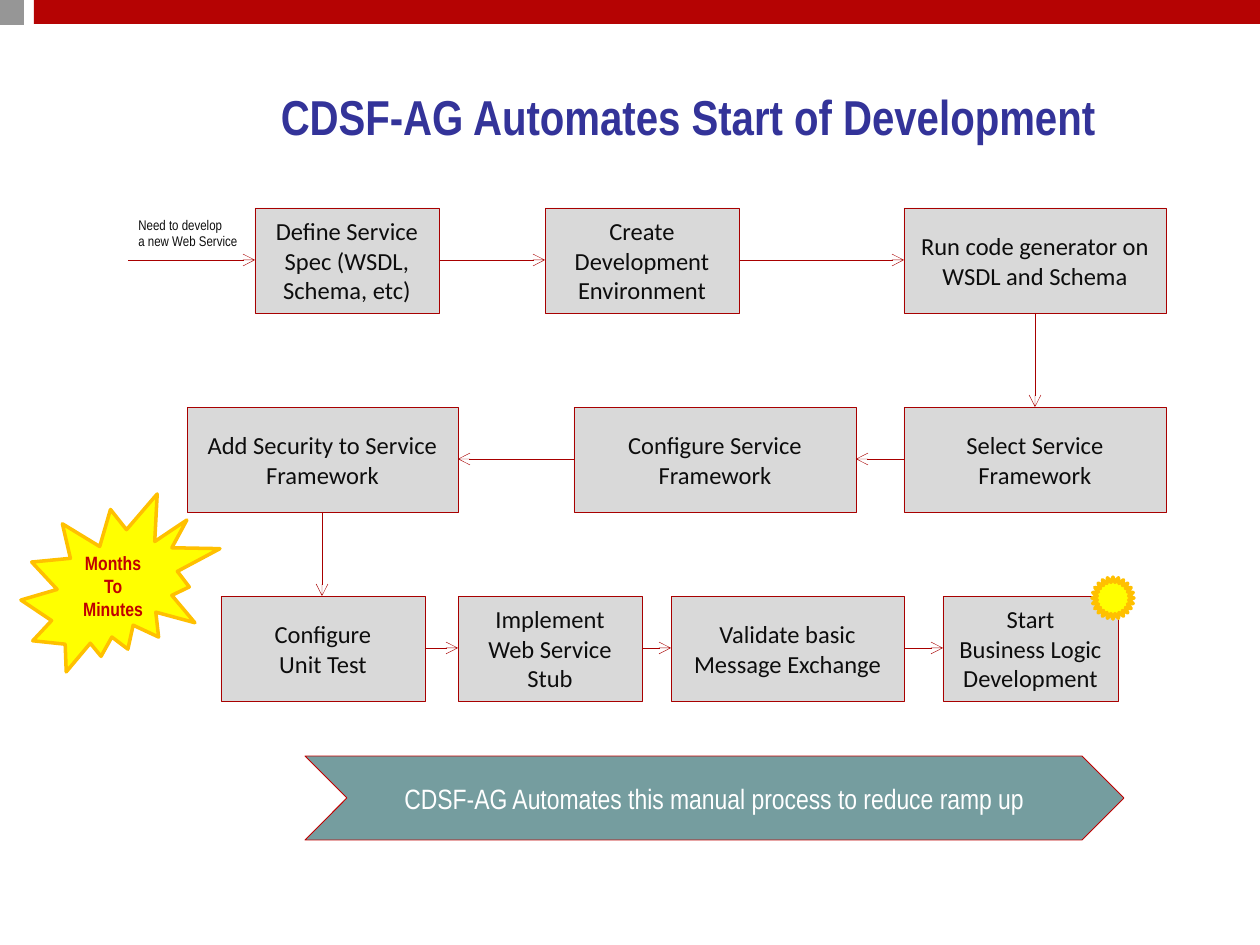
from pptx import Presentation
from pptx.dml.color import RGBColor
from pptx.enum.shapes import MSO_CONNECTOR, MSO_SHAPE
from pptx.enum.text import MSO_ANCHOR, PP_ALIGN
from pptx.oxml.ns import qn
from pptx.util import Emu, Pt
from lxml import etree

RECT, CHEVRON = MSO_SHAPE.RECTANGLE, MSO_SHAPE.CHEVRON
SEAL, BURST = MSO_SHAPE.STAR_24_POINT, MSO_SHAPE.EXPLOSION2
STRAIGHT = MSO_CONNECTOR.STRAIGHT
MIDDLE, TOP = MSO_ANCHOR.MIDDLE, MSO_ANCHOR.TOP
CENTER, LEFT = PP_ALIGN.CENTER, PP_ALIGN.LEFT
SCALE = 914400 / 126

THEME = {
    "bar": {"fill": "B50303"},
    "tab": {"fill": "969696"},
    "step": {"fill": "D9D9D9", "line": "A80000", "width": 0.25, "color": "0D0D0D",
             "font": {"name": "Calibri", "size": Pt(14)}},
    "banner": {"fill": "759D9F", "line": "C00000", "width": 0.5, "color": "FFFFFF",
               "font": {"name": "Arial Narrow", "size": Pt(16)}},
    "burst": {"fill": "FFFF00", "line": "FFC000", "width": 2, "color": "C00000",
              "font": {"name": "Arial Narrow", "size": Pt(11), "bold": True}},
    "title": {"color": "333399",
              "font": {"name": "Arial Narrow", "size": Pt(28), "bold": True}},
    "note": {"color": "0D0D0D", "align": LEFT, "anchor": TOP,
             "font": {"name": "Arial Narrow", "size": Pt(8)}},
}


def write(shape, text, look):
    frame = shape.text_frame
    frame.text = text
    frame.word_wrap = True
    frame.vertical_anchor = look.get("anchor", MIDDLE)
    for para in frame.paragraphs:
        para.alignment = look.get("align", CENTER)
        for key, value in look["font"].items():
            setattr(para.font, key, value)
        para.font.color.rgb = RGBColor.from_string(look["color"])


def draw(kind, box, look, text=""):
    shape = slide.shapes.add_shape(kind, *[Emu(round(n * SCALE)) for n in box])
    shape.shadow.inherit = False
    shape.fill.solid()
    shape.fill.fore_color.rgb = RGBColor.from_string(look["fill"])
    if "line" in look:
        shape.line.color.rgb = RGBColor.from_string(look["line"])
        shape.line.width = Pt(look["width"])
    else:
        shape.line.fill.background()
    if text:
        write(shape, text, look)


deck = Presentation()
deck.slide_width, deck.slide_height = Emu(round(1260 * SCALE)), Emu(round(945 * SCALE))
slide = deck.slides.add_slide(deck.slide_layouts[5])

draw(RECT, (34, 0, 1226, 24), THEME["bar"])
draw(RECT, (-1, 0, 25, 25), THEME["tab"])

title = slide.shapes.title
place = {"left": 179, "top": 63, "width": 1018, "height": 105}
for key, value in place.items():
    setattr(title, key, Emu(round(value * SCALE)))
write(title, "CDSF-AG Automates Start of Development", THEME["title"])

note = slide.shapes.add_textbox(*[Emu(round(n * SCALE)) for n in (126, 210, 175, 47)])
write(note, "Need to develop\na new Web Service", THEME["note"])

HIGH = 105
ROWS = [
    (208, [(255, 184, "Define Service\nSpec (WSDL, Schema, etc)"),
           (545, 194, "Create Development\nEnvironment"),
           (904, 262, "Run code generator on WSDL and Schema")]),
    (407, [(904, 262, "Select Service Framework"),
           (574, 282, "Configure Service Framework"),
           (187, 271, "Add Security to Service\nFramework")]),
    (596, [(221, 204, "Configure\nUnit Test"),
           (458, 184, "Implement\nWeb Service Stub"),
           (671, 233, "Validate basic\nMessage Exchange"),
           (943, 175, "Start\nBusiness Logic Development")]),
]
links = [(128, 260, 255, 260), (1035, 313, 1035, 407), (322, 512, 322, 596)]
for top, steps in ROWS:
    mid = top + HIGH // 2
    for left, wide, text in steps:
        draw(RECT, (left, top, wide, HIGH), THEME["step"], text)
    for (left, wide, _), (goal, span, _) in zip(steps, steps[1:]):
        ends = (left + wide, goal) if goal > left else (left, goal + span)
        links.append((ends[0], mid, ends[1], mid))

for link in links:
    arrow = slide.shapes.add_connector(STRAIGHT, *[Emu(round(n * SCALE)) for n in link])
    arrow.line.color.rgb = RGBColor.from_string(THEME["step"]["line"])
    arrow.line.width = Pt(THEME["step"]["width"])
    etree.SubElement(arrow.line._get_or_add_ln(), qn("a:tailEnd"), type="arrow")
    etree.SubElement(arrow._element.spPr, qn("a:effectLst"))

draw(SEAL, (1092, 577, 42, 42), THEME["burst"])
draw(CHEVRON, (305, 756, 819, 84), THEME["banner"],
     "CDSF-AG Automates this manual process to reduce ramp up")
draw(BURST, (21, 494, 199, 178), THEME["burst"], "Months\nTo Minutes")

deck.save("out.pptx")
